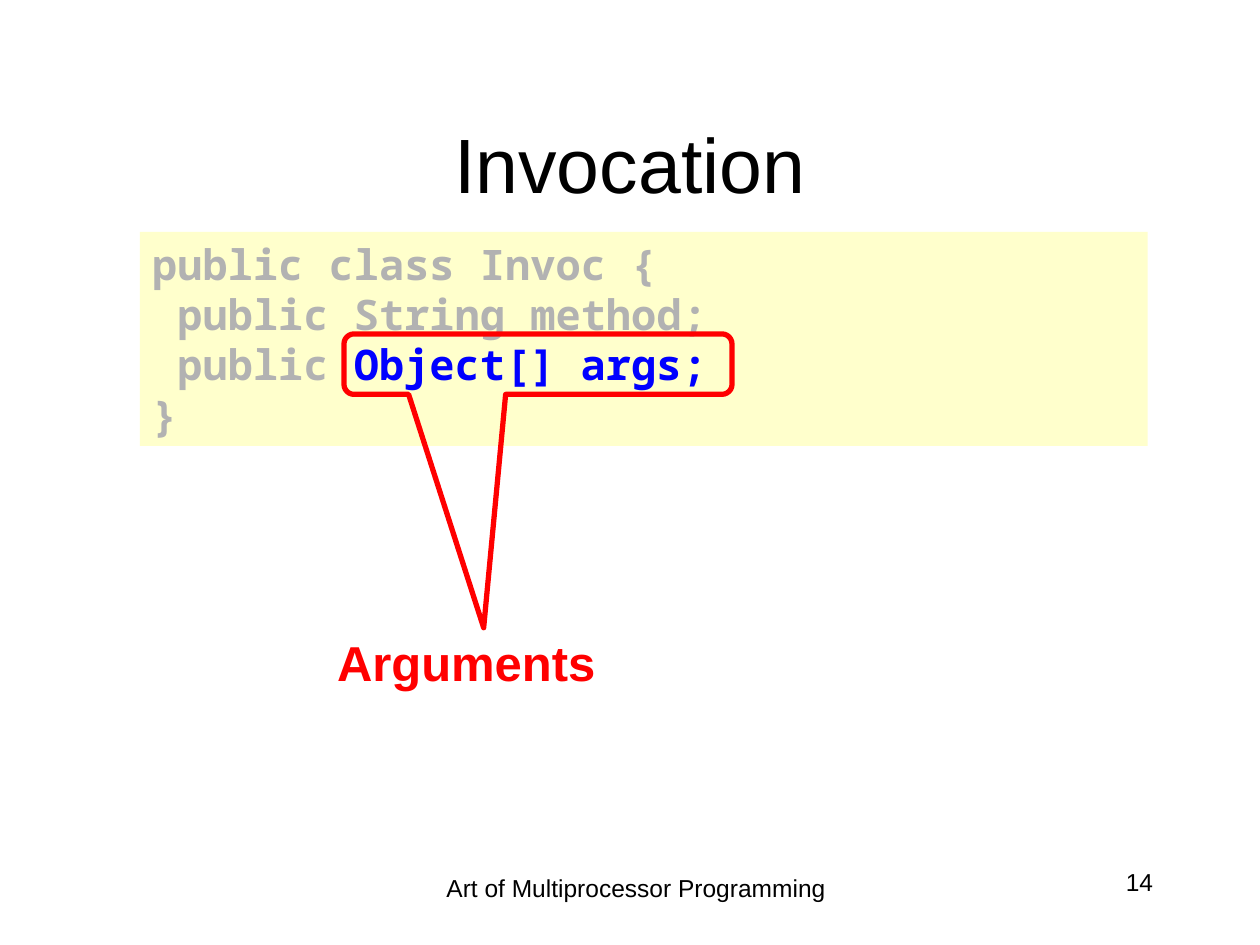
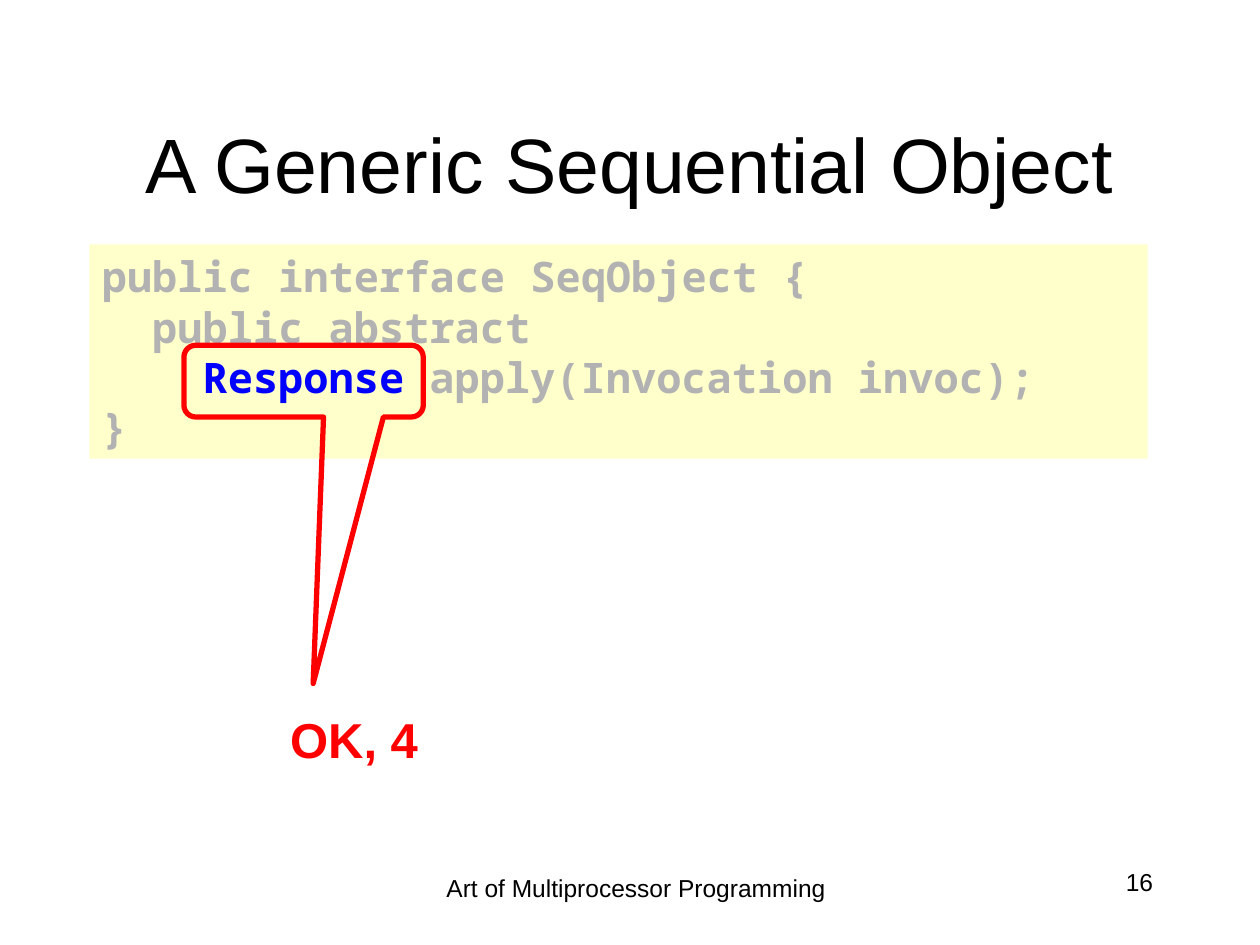
from dataclasses import dataclass

import pptx
import pptx.dml.color
import pptx.enum.shapes
import pptx.enum.text
import pptx.util

Inches = pptx.util.Inches
RGB = pptx.dml.color.RGBColor
ALIGN = pptx.enum.text.PP_ALIGN
ANCHOR = pptx.enum.text.MSO_ANCHOR
SHAPE = pptx.enum.shapes.MSO_SHAPE


@dataclass(frozen=True)
class Theme:
    text: RGB = RGB(0x00, 0x00, 0x00)
    panel: RGB = RGB(0xFF, 0xFF, 0xCC)
    dimmed: RGB = RGB(0xB2, 0xB2, 0xB2)
    focus: RGB = RGB(0x00, 0x00, 0xFF)
    accent: RGB = RGB(0xFF, 0x00, 0x00)
    font: str = "Arial"
    code_font: str = "Noto Sans Mono"
    title_size: int = 44
    code_size: int = 24
    label_size: int = 28
    footer_size: int = 14
    callout_line: int = 3


THEME = Theme()
FOOTER = "Art of Multiprocessor Programming"


@dataclass(frozen=True)
class Box:
    left: float
    top: float
    width: float
    height: float

    def lengths(self) -> tuple:
        return tuple(Inches(v) for v in (self.left, self.top, self.width, self.height))


@dataclass(frozen=True)
class CodeSlide:
    title: str
    number: int
    code: str
    focus: str  # the part of the code that is highlighted
    panel: Box
    callout: Box
    tip: tuple[float, float]  # callout tip, as a share of its size from its centre
    label: str
    label_box: Box


TITLE_BOX = Box(0.75, 0.67, 8.5, 1.25)
NUMBER_BOX = Box(7.17, 6.83, 2.08, 0.5)
FOOTER_BOX = Box(3.23, 6.88, 3.64, 0.5)

SLIDES = [
    CodeSlide(
        title="Invocation",
        number=14,
        code="public class Invoc {\n public String method;\n public Object[] args;\n}",
        focus="Object[] args;",
        panel=Box(1.11, 1.84, 8, 1.7),
        callout=Box(2.73, 2.65, 3.08, 0.48),
        tip=(-0.14, 4.36),
        label="Arguments",
        label_box=Box(0.87, 4.97, 5.66, 0.57),
    ),
    CodeSlide(
        title="A Generic Sequential Object",
        number=16,
        code="public interface SeqObject {\n  public abstract\n"
             "    Response apply(Invocation invoc);\n}",
        focus="Response",
        panel=Box(0.71, 1.94, 8.4, 1.7),
        callout=Box(1.46, 2.74, 1.9, 0.57),
        tip=(0.04, 4.21),
        label="OK, 4",
        label_box=Box(1.52, 5.58, 2.58, 0.57),
    ),
]


def add_run(p, text: str, *, size: int, color: RGB = THEME.text,
            font: str = THEME.font, bold: bool = False) -> None:
    r = p.add_run()
    r.text = text
    r.font.name = font
    r.font.size = pptx.util.Pt(size)
    r.font.bold = bold
    r.font.color.rgb = color


def add_text(slide, box: Box, text: str, *, align: ALIGN = ALIGN.CENTER, **style) -> None:
    tf = slide.shapes.add_textbox(*box.lengths()).text_frame
    tf.word_wrap = True
    tf.paragraphs[0].alignment = align
    add_run(tf.paragraphs[0], text, **style)


def set_title(slide, text: str) -> None:
    sp = slide.shapes.title
    sp.left, sp.top, sp.width, sp.height = TITLE_BOX.lengths()
    tf = sp.text_frame
    tf.vertical_anchor = ANCHOR.MIDDLE
    tf.paragraphs[0].alignment = ALIGN.CENTER
    add_run(tf.paragraphs[0], text, size=THEME.title_size)


def add_code(slide, box: Box, code: str, focus: str) -> None:
    sp = slide.shapes.add_shape(SHAPE.RECTANGLE, *box.lengths())
    sp.shadow.inherit = False
    sp.fill.solid()
    sp.fill.fore_color.rgb = THEME.panel
    sp.line.fill.background()
    tf = sp.text_frame
    tf.word_wrap = True
    tf.vertical_anchor = ANCHOR.TOP
    for i, line in enumerate(code.split("\n")):
        p = tf.paragraphs[0] if i == 0 else tf.add_paragraph()
        p.alignment = ALIGN.LEFT
        before, found, after = line.partition(focus)
        parts = ((before, THEME.dimmed), (found, THEME.focus), (after, THEME.dimmed))
        for text, color in parts:
            if text:
                add_run(p, text, size=THEME.code_size, color=color,
                        font=THEME.code_font, bold=True)


def add_callout(slide, box: Box, tip: tuple[float, float]) -> None:
    sp = slide.shapes.add_shape(SHAPE.ROUNDED_RECTANGULAR_CALLOUT, *box.lengths())
    sp.shadow.inherit = False
    sp.fill.background()
    sp.line.color.rgb = THEME.accent
    sp.line.width = pptx.util.Pt(THEME.callout_line)
    sp.adjustments[0], sp.adjustments[1] = tip
    sp.adjustments[2] = 1 / 6


def build_slide(prs, spec: CodeSlide) -> None:
    slide = prs.slides.add_slide(prs.slide_layouts.get_by_name("Title Only"))
    set_title(slide, spec.title)
    # Code panel with its highlighted part
    add_code(slide, spec.panel, spec.code, spec.focus)
    add_callout(slide, spec.callout, spec.tip)
    add_text(slide, spec.label_box, spec.label, size=THEME.label_size,
             color=THEME.accent, bold=True)
    # Slide number and footer
    add_text(slide, NUMBER_BOX, str(spec.number), align=ALIGN.RIGHT, size=THEME.footer_size)
    add_text(slide, FOOTER_BOX, FOOTER, size=THEME.footer_size)


def main() -> None:
    prs = pptx.Presentation()
    prs.slide_width, prs.slide_height = Inches(10), Inches(7.5)
    for spec in SLIDES:
        build_slide(prs, spec)
    prs.save("out.pptx")


if __name__ == "__main__":
    main()
